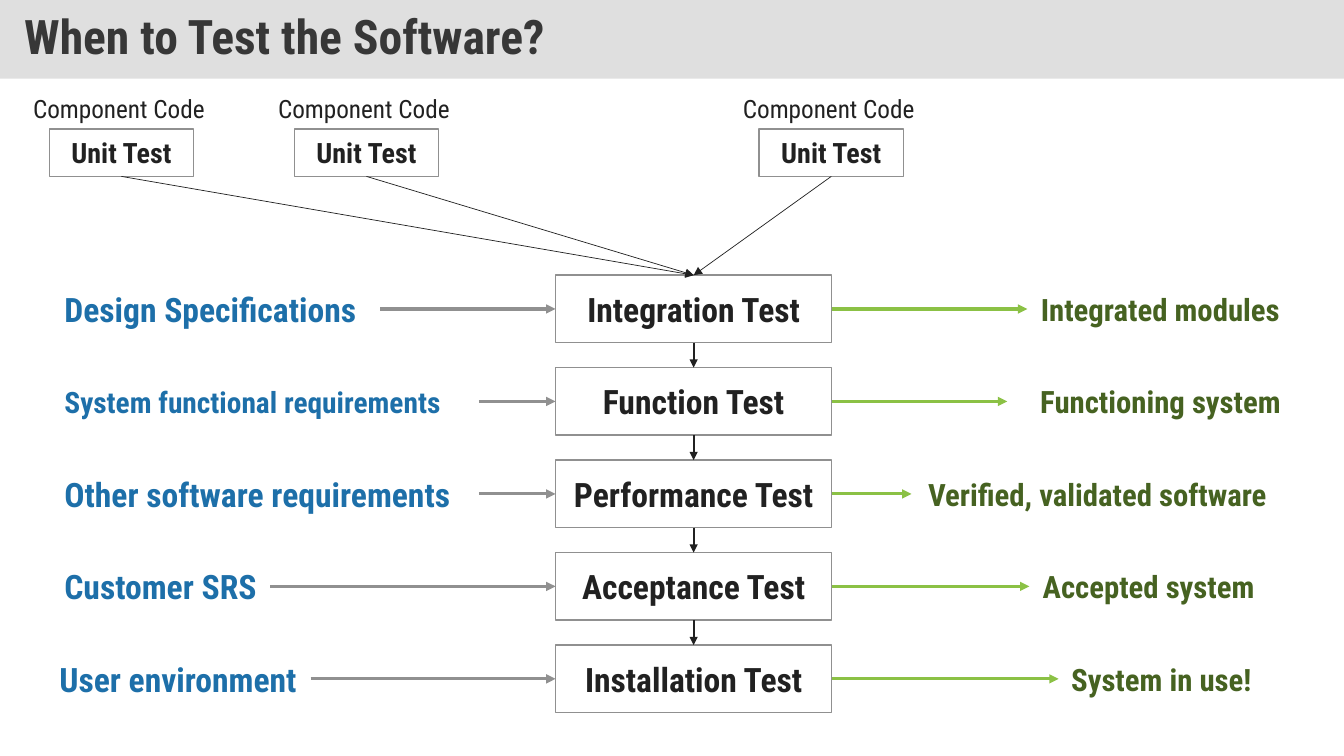
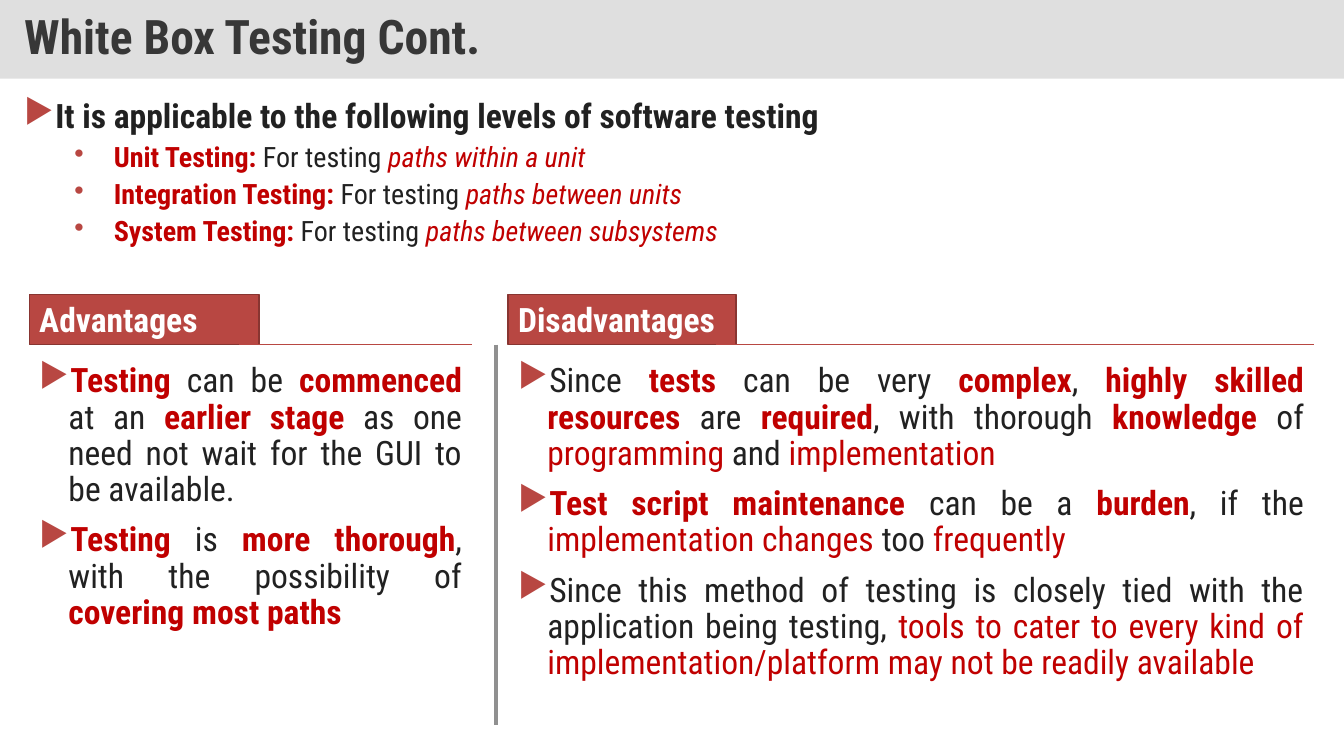
from lxml import etree
from pptx import Presentation
from pptx.dml.color import RGBColor
from pptx.enum.shapes import MSO_CONNECTOR as Connector, MSO_SHAPE as Shape
from pptx.enum.text import MSO_ANCHOR as Anchor, MSO_AUTO_SIZE as AutoSize, PP_ALIGN as Align
from pptx.oxml.ns import qn
from pptx.util import Inches, Pt

FONT = "Roboto Condensed"
INK, GRAY, WHITE = "212121", "909090", "FFFFFF"
BAND, TITLE = "C0C0C0", "373737"
BLUE, GREEN, DARK_GREEN = "1D6FA9", "8BC145", "466221"
RED, BRICK, DARK_BRICK = "C00000", "B84742", "883531"
SLIDE_WIDTH, SLIDE_HEIGHT = 13.33, 7.5
TOP, LEFT, BOTTOM, RIGHT = range(4)

PLAIN = {}
BOLD = {"bold": True}
ACCENT = {"color": RED}
STRONG = {"color": RED, "bold": True}
EMPHASIS = {"color": RED, "italic": True}

STAGES = [
    ("Integration Test", ("Design Specifications", 0.54, 3.77, 24), ("Integrated modules", 10.19, 12.79)),
    ("Function Test", ("System functional requirements", 0.54, 4.75, 21), ("Functioning system", 9.99, 12.8)),
    ("Performance Test", ("Other software requirements", 0.54, 4.75, 24), ("Verified, validated software", 9.04, 12.66)),
    ("Acceptance Test", ("Customer SRS", 0.54, 2.68, 24), ("Accepted system", 10.21, 12.54)),
    ("Installation Test", ("User environment", 0.49, 3.08, 24), ("System in use!", 10.5, 12.51)),
]

LEVELS = [
    ("Unit Testing:", "paths within a unit"),
    ("Integration Testing:", "paths between units"),
    ("System Testing:", "paths between subsystems"),
]

ADVANTAGES = [
    [("Testing ", STRONG), ("can be ", PLAIN), ("commenced ", STRONG), ("at an ", PLAIN),
     ("earlier stage ", STRONG), ("as one need not wait for the GUI to be available.", PLAIN)],
    [("Testing ", STRONG), ("is ", PLAIN), ("more thorough", STRONG),
     (", with the possibility of ", PLAIN), ("covering most paths", STRONG)],
]

DISADVANTAGES = [
    [("Since ", PLAIN), ("tests ", STRONG), ("can be very ", PLAIN), ("complex", STRONG), (", ", PLAIN),
     ("highly skilled resources", STRONG), (" are ", PLAIN), ("required", STRONG),
     (", with thorough ", PLAIN), ("knowledge ", STRONG), ("of ", PLAIN),
     ("programming", ACCENT), (" and ", PLAIN), ("implementation", ACCENT)],
    [("Test script maintenance ", STRONG), ("can be a ", PLAIN), ("burden", STRONG), (", if the ", PLAIN),
     ("implementation changes", ACCENT), (" too ", PLAIN), ("frequently", ACCENT)],
    [("Since this method of testing is closely tied with the application being testing, ", PLAIN),
     ("tools to cater to every kind of implementation/platform may not be readily available", ACCENT)],
]


def rgb(value):
    """Turn a hex string into a colour."""
    return RGBColor.from_string(value)


def add_run(paragraph, text, size, color=INK, bold=False, italic=False):
    """Add one formatted run."""
    run = paragraph.add_run()
    run.text = text
    font = run.font
    font.name, font.size, font.bold, font.italic = FONT, Pt(size), bold, italic
    font.color.rgb = rgb(color)


def add_text(slide, box, text, size, align=Align.LEFT, insets=(0.1, 0.1), **style):
    """Add a one-line text box, centred vertically."""
    shape = slide.shapes.add_textbox(*map(Inches, box))
    frame = shape.text_frame
    frame.word_wrap = True
    frame.vertical_anchor = Anchor.MIDDLE
    frame.margin_left, frame.margin_right = map(Inches, insets)
    paragraph = frame.paragraphs[0]
    paragraph.alignment = align
    add_run(paragraph, text, size, **style)
    return shape


def add_box(slide, box, text, size, fill=WHITE, line=GRAY, color=INK, align=Align.CENTER):
    """Add an outlined rectangle with a bold label."""
    shape = slide.shapes.add_shape(Shape.RECTANGLE, *map(Inches, box))
    shape.shadow.inherit = False
    shape.fill.solid()
    shape.fill.fore_color.rgb = rgb(fill)
    shape.line.color.rgb = rgb(line)
    shape.line.width = Pt(1)
    frame = shape.text_frame
    frame.word_wrap = True
    frame.vertical_anchor = Anchor.MIDDLE
    paragraph = frame.paragraphs[0]
    paragraph.alignment = align
    add_run(paragraph, text, size, color=color, bold=True)
    return shape


def add_line(slide, start, end, color, width):
    """Add a straight line between two points."""
    line = slide.shapes.add_connector(Connector.STRAIGHT, *map(Inches, (*start, *end)))
    line.line.color.rgb = rgb(color)
    line.line.width = Pt(width)
    etree.SubElement(line._element.spPr, qn("a:effectLst"))
    return line


def add_arrow(slide, source, source_side, target, target_side, color, width):
    """Join the sides of two shapes with an arrow."""
    arrow = add_line(slide, (0, 0), (1, 1), color, width)
    arrow.begin_connect(source, source_side)
    arrow.end_connect(target, target_side)
    outline = arrow._element.spPr.find(qn("a:ln"))
    etree.SubElement(outline, qn("a:tailEnd"), type="triangle")


def add_bullet(paragraph, character, indent, hanging):
    """Give a paragraph a coloured bullet and a hanging indent."""
    properties = paragraph._p.get_or_add_pPr()
    properties.set("marL", str(Inches(indent)))
    properties.set("indent", str(-Inches(hanging)))
    bullet_color = etree.SubElement(properties, qn("a:buClr"))
    etree.SubElement(bullet_color, qn("a:srgbClr"), val=BRICK)
    etree.SubElement(properties, qn("a:buChar"), char=character)


def add_bullet_list(slide, box, items):
    """Add a justified list of (level, runs) items."""
    frame = slide.shapes.add_textbox(*map(Inches, box)).text_frame
    frame.word_wrap = True
    formats = [("▶", 0.29, 0.29, 24, 10), ("•", 0.89, 0.39, 20, 5)]
    for index, (level, runs) in enumerate(items):
        character, indent, hanging, size, space = formats[level]
        paragraph = frame.add_paragraph() if index else frame.paragraphs[0]
        add_bullet(paragraph, character, indent, hanging)
        paragraph.level = level
        paragraph.alignment = Align.JUSTIFY
        paragraph.line_spacing = 0.9
        paragraph.space_before = Pt(space if index else 0)
        for text, style in runs:
            add_run(paragraph, text, size, **style)


def add_titled_slide(presentation, text):
    """Add a slide with the title on a gray band."""
    slide = presentation.slides.add_slide(presentation.slide_layouts[5])
    title = slide.shapes.title
    title.left, title.top, title.width, title.height = map(Inches, (0, 0, SLIDE_WIDTH, 0.78))
    title.fill.solid()
    title.fill.fore_color.rgb = rgb(BAND)
    band_color = title._element.spPr.find(qn("a:solidFill"))[0]
    etree.SubElement(band_color, qn("a:alpha"), val="50000")
    frame = title.text_frame
    frame.auto_size = AutoSize.NONE
    frame.vertical_anchor = Anchor.MIDDLE
    frame.margin_left = frame.margin_right = Inches(0.24)
    frame.margin_top = frame.margin_bottom = Inches(0.12)
    paragraph = frame.paragraphs[0]
    paragraph.alignment = Align.LEFT
    paragraph.line_spacing = 0.9
    add_run(paragraph, text, 34, color=TITLE, bold=True)
    return slide


def add_unit(slide, left, top):
    """Add a unit test box with its caption above."""
    add_text(slide, (left - 0.32, top - 0.4, 2.02, 0.4), "Component Code", 18, Align.CENTER)
    return add_box(slide, (left, top, 1.43, 0.47), "Unit Test", 20)


def add_stage(slide, top, name, source, result):
    """Add a test stage with its input on the left and output on the right."""
    height, label_height = 0.67, 0.5
    label_top = top + (height - label_height) / 2
    stage = add_box(slide, (5.51, top, 2.74, height), name, 24)
    text, left, right, size = source
    label = add_text(slide, (left, label_top, right - left, label_height), text, size,
                     insets=(0.1, 0), color=BLUE, bold=True)
    add_arrow(slide, label, RIGHT, stage, LEFT, GRAY, 2.25)
    text, left, right = result
    label = add_text(slide, (left, label_top, right - left, label_height), text, 22,
                     Align.RIGHT, (0, 0.1), color=DARK_GREEN, bold=True)
    add_arrow(slide, stage, RIGHT, label, LEFT, GREEN, 2.25)
    return stage


def add_column(slide, left, top, width, tab_width, heading, items):
    """Add a headed column with a rule and a bullet list."""
    tab_height = 0.5
    rule = top + tab_height
    add_box(slide, (left, top, tab_width, tab_height), heading, 24, BRICK, DARK_BRICK, WHITE, Align.LEFT)
    add_line(slide, (left + tab_width - 0.2, rule), (left + width, rule), BRICK, 1)
    add_bullet_list(slide, (left, rule + 0.14, width, 3.49), [(0, runs) for runs in items])


def build_test_stages(presentation):
    """Build the flow from unit tests to installation."""
    slide = add_titled_slide(presentation, "When to Test the Software?")
    units = [add_unit(slide, left, 1.28) for left in (0.49, 2.92, 7.53)]
    first, last = 2.73, 6.4
    step = (last - first) / (len(STAGES) - 1)
    stages = [add_stage(slide, first + index * step, *stage) for index, stage in enumerate(STAGES)]
    for unit in units:
        add_arrow(slide, unit, BOTTOM, stages[0], TOP, INK, 0.5)
    for upper, lower in zip(stages, stages[1:]):
        add_arrow(slide, upper, BOTTOM, lower, TOP, INK, 1.5)


def build_white_box(presentation):
    """Build the levels list above two compared columns."""
    slide = add_titled_slide(presentation, "White Box Testing Cont.")
    items = [(0, [("It is applicable to the following levels of software testing", BOLD)])]
    items += [(1, [(name, STRONG), (" For testing ", PLAIN), (scope, EMPHASIS)]) for name, scope in LEVELS]
    add_bullet_list(slide, (0.14, 0.94, 13.05, 1.74), items)
    add_column(slide, 0.29, 2.92, 4.39, 2.28, "Advantages", ADVANTAGES)
    add_column(slide, 5.04, 2.92, 7.99, 2.26, "Disadvantages", DISADVANTAGES)
    add_line(slide, (4.92, 3.42), (4.92, 7.19), GRAY, 2.25)


def main():
    """Build and save the presentation."""
    presentation = Presentation()
    presentation.slide_width = Inches(SLIDE_WIDTH)
    presentation.slide_height = Inches(SLIDE_HEIGHT)
    build_test_stages(presentation)
    build_white_box(presentation)
    presentation.save("out.pptx")


if __name__ == "__main__":
    main()
